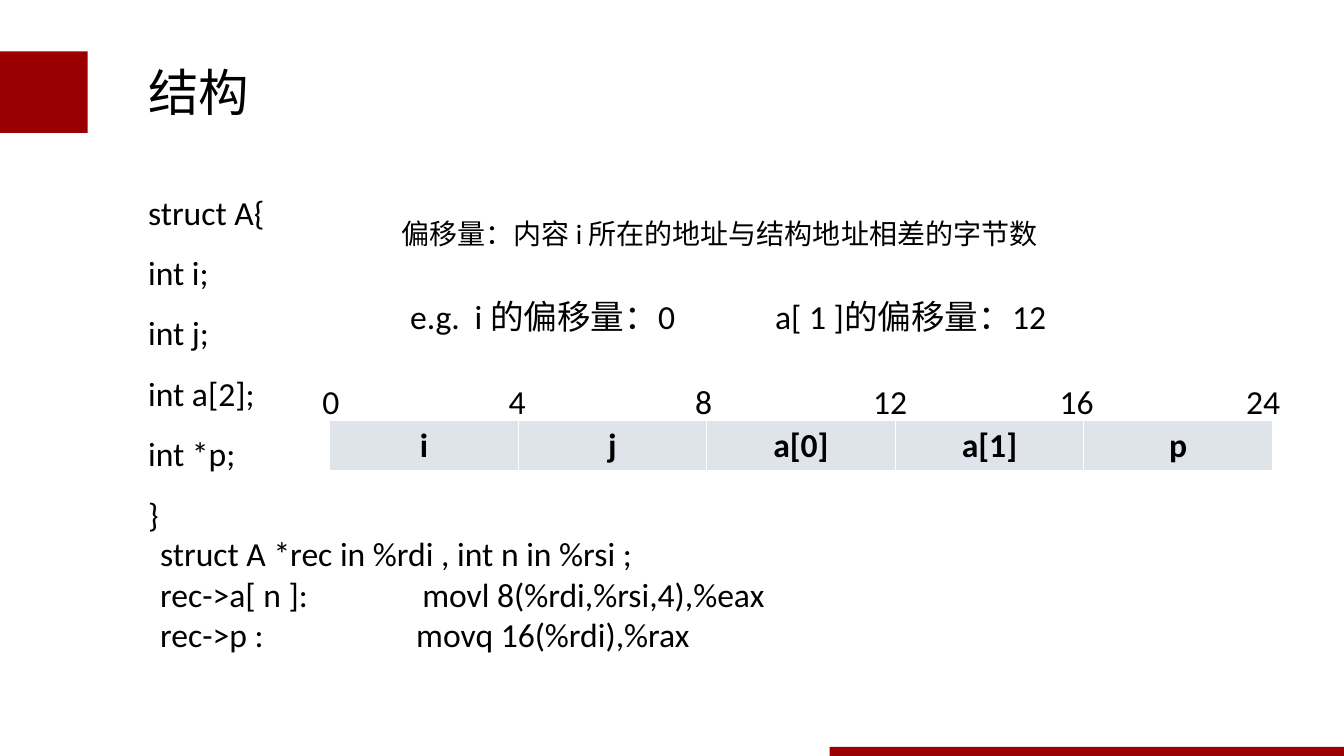
import pptx
import pptx.dml.color
import pptx.enum.shapes
import pptx.enum.text
import pptx.oxml.ns
import pptx.util
from lxml import etree

Inches = pptx.util.Inches
Pt = pptx.util.Pt
RGBColor = pptx.dml.color.RGBColor

RED = RGBColor(0x9A, 0x00, 0x01)
BLACK = RGBColor(0x00, 0x00, 0x00)
WHITE = RGBColor(0xFF, 0xFF, 0xFF)
CELL_BLUE = RGBColor(0xAD, 0xB9, 0xCA)
CELL_OPACITY = 38000

SLIDE_WIDTH, SLIDE_HEIGHT = 13.33, 7.5
MARGIN = 1.37
TABLE_LEFT, TABLE_TOP, COLUMN_WIDTH, ROW_HEIGHT = 3.27, 4.17, 1.87, 0.42
OFFSET_STEP = 1.85
DIGIT_CENTRE = 0.08

FIELDS = ["i", "j", "a[0]", "a[1]", "p"]
OFFSETS = ["0", "4", "8", "12", "16", "24"]
BORDERS = {"lnL": 1, "lnR": 1, "lnT": 1, "lnB": 3}
BARS = [(0, 0.51, 0.87, 0.81), (8.23, 7.41, SLIDE_WIDTH - 8.23, 0.14)]

offset_tabs = [(DIGIT_CENTRE + OFFSET_STEP * index, "ctr")
               for index in range(1, len(OFFSETS))]

BODY = {"name": "Calibri", "size": Pt(24)}
NOTE = {"name": "Calibri", "size": Pt(20)}
TITLE = {"name": "Arial", "size": Pt(36)}
LOOSE = {"line_spacing": 1.5}

TEXTS = [
    ((MARGIN, 0.56, 1.2, 0.71), TITLE, {}, [("结构", [])]),
    ((MARGIN, 1.65, 6.28, 3.73), BODY, LOOSE,
     [(line, []) for line in
      ["struct A{", "int i;", "int j;", "int a[2];", "int *p;", "}"]]),
    ((3.88, 1.93, 7.92, 0.6), NOTE, LOOSE,
     [("偏移量：内容 i 所在的地址与结构地址相差的字节数", [])]),
    ((3.97, 2.89, 8.14, 0.5), BODY, {},
     [("e.g.\ti 的偏移量：0\ta[ 1 ]的偏移量：12", [(0.64, "l"), (3.62, "l")])]),
    ((3.1, 3.73, 10.17, 0.5), BODY, {}, [("\t".join(OFFSETS), offset_tabs)]),
    ((1.49, 5.24, 9.04, 1.31), BODY, {},
     [("struct A *rec in %rdi , int n in %rsi ;", []),
      ("rec->a[ n ]:\tmovl 8(%rdi,%rsi,4),%eax", [(2.6, "l")]),
      ("rec->p :\tmovq 16(%rdi),%rax", [(2.54, "l")])]),
]


def set_all(target, values):
    for name, value in values.items():
        setattr(target, name, value)


def add_xml(parent, tag, **attributes):
    return etree.SubElement(parent, pptx.oxml.ns.qn("a:" + tag), attributes)


def write(paragraph, text, font, layout, tabs=()):
    run = paragraph.add_run()
    run.text = text
    set_all(run.font, font)
    run.font.color.rgb = BLACK
    set_all(paragraph, layout)
    if tabs:
        properties = paragraph._p.get_or_add_pPr()
        tab_list = add_xml(properties, "tabLst")
        for position, alignment in tabs:
            add_xml(tab_list, "tab", pos=str(Inches(position)), algn=alignment)


presentation = pptx.Presentation()
set_all(presentation, {"slide_width": Inches(SLIDE_WIDTH),
                       "slide_height": Inches(SLIDE_HEIGHT)})
slide = presentation.slides.add_slide(presentation.slide_layouts[6])

for bar in BARS:
    shape = slide.shapes.add_shape(
        pptx.enum.shapes.MSO_SHAPE.RECTANGLE, *map(Inches, bar))
    shape.shadow.inherit = False
    shape.fill.solid()
    shape.fill.fore_color.rgb = RED
    shape.line.fill.background()

table_box = (TABLE_LEFT, TABLE_TOP, COLUMN_WIDTH * len(FIELDS), ROW_HEIGHT)
table = slide.shapes.add_table(1, len(FIELDS), *map(Inches, table_box)).table
set_all(table, {"first_row": False, "horz_banding": False})
for cell, field in zip(table.rows[0].cells, FIELDS):
    write(cell.text_frame.paragraphs[0], field, {**BODY, "bold": True},
          {"alignment": pptx.enum.text.PP_ALIGN.CENTER})
    cell_properties = cell._tc.get_or_add_tcPr()
    for side, width in BORDERS.items():
        line = add_xml(cell_properties, side, w=str(Pt(width)))
        add_xml(add_xml(line, "solidFill"), "srgbClr", val=str(WHITE))
    cell.fill.solid()
    cell.fill.fore_color.rgb = CELL_BLUE
    color = cell_properties.find(pptx.oxml.ns.qn("a:solidFill"))[0]
    add_xml(color, "alpha", val=str(CELL_OPACITY))

for box, font, layout, lines in TEXTS:
    frame = slide.shapes.add_textbox(*map(Inches, box)).text_frame
    frame.word_wrap = font is not TITLE
    for index, (text, tabs) in enumerate(lines):
        paragraph = frame.add_paragraph() if index else frame.paragraphs[0]
        write(paragraph, text, font, layout, tabs)

presentation.save("out.pptx")
